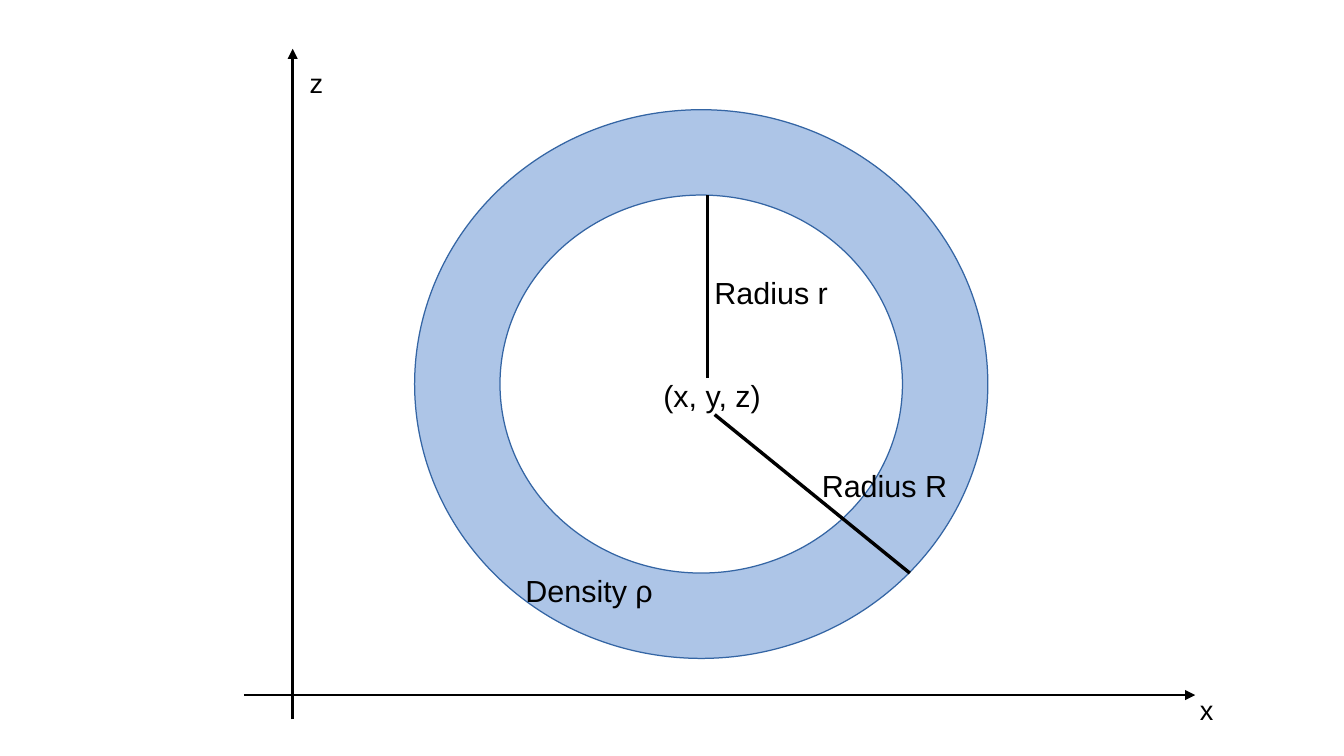
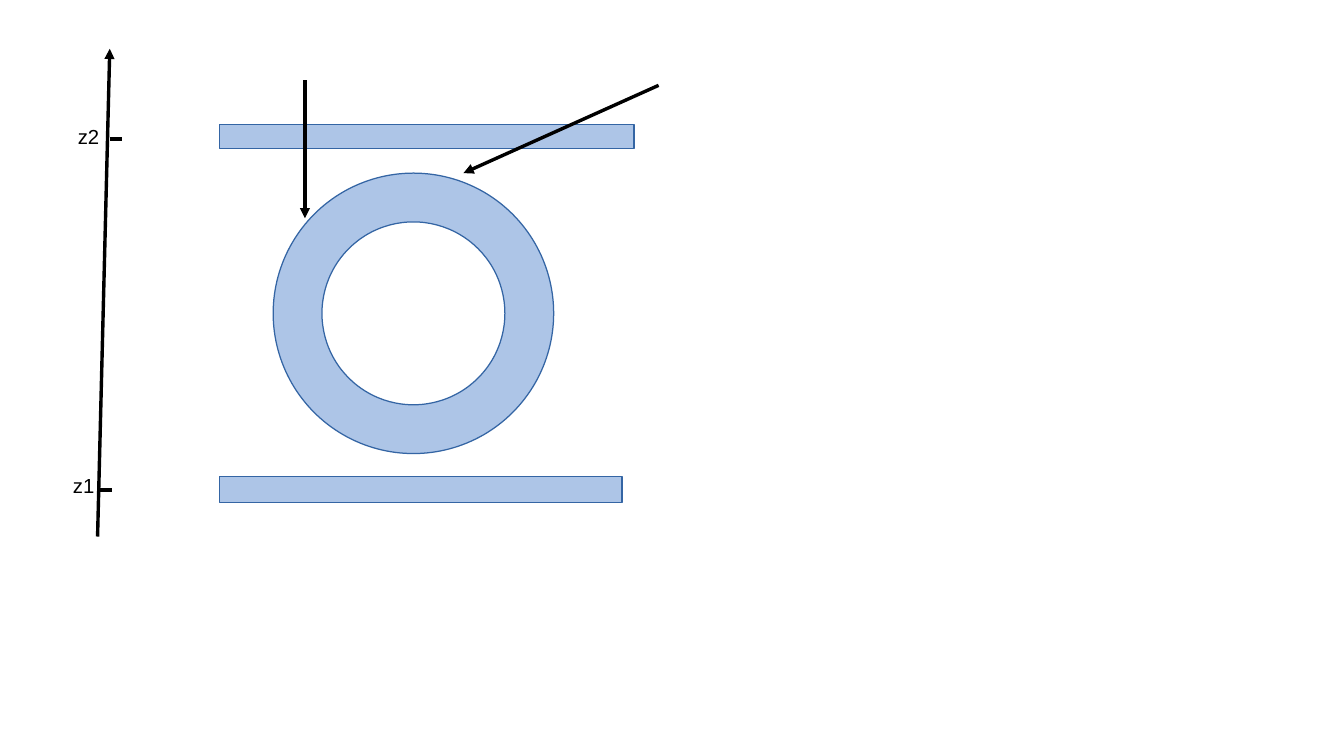
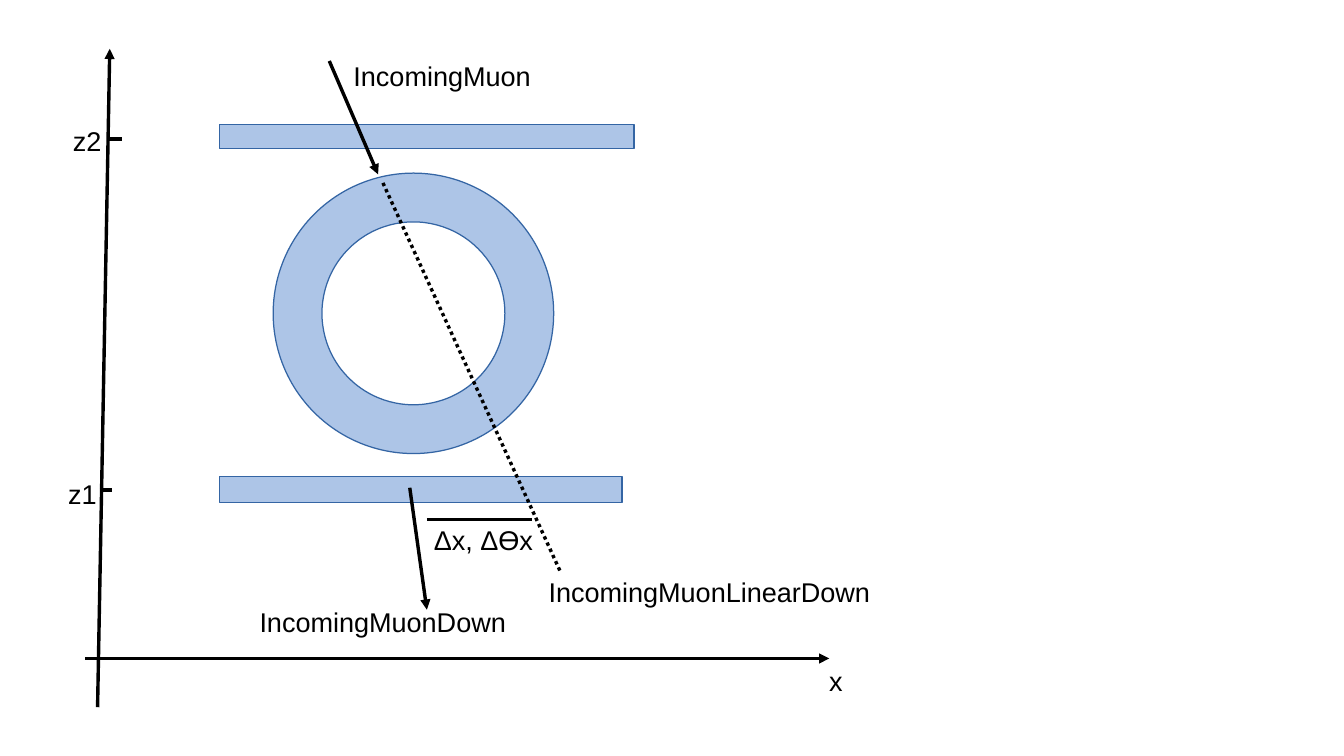
from dataclasses import dataclass
from typing import Any

from lxml import etree
from pptx import Presentation
from pptx.dml.color import RGBColor
from pptx.enum.dml import MSO_LINE
from pptx.enum.shapes import MSO_CONNECTOR, MSO_SHAPE
from pptx.enum.text import MSO_ANCHOR, MSO_AUTO_SIZE
from pptx.oxml.ns import qn
from pptx.util import Inches, Pt

STRAIGHT = MSO_CONNECTOR.STRAIGHT
ELLIPSE = MSO_SHAPE.OVAL
RECTANGLE = MSO_SHAPE.RECTANGLE
DOTTED = MSO_LINE.ROUND_DOT
TOP = MSO_ANCHOR.TOP
GROW = MSO_AUTO_SIZE.SHAPE_TO_FIT_TEXT
BLANK_LAYOUT = 6


@dataclass(frozen=True)
class Theme:
    ink: RGBColor = RGBColor(0x00, 0x00, 0x00)
    material: RGBColor = RGBColor(0xAD, 0xC5, 0xE7)
    outline: RGBColor = RGBColor(0x34, 0x65, 0xA4)
    paper: RGBColor = RGBColor(0xFF, 0xFF, 0xFF)
    font: str = "Arial"
    large: int = 18
    medium: int = 16
    small: int = 12
    hairline: float = 0
    axis: float = 1.5


THEME = Theme()
LABEL_FRAME = {
    "margin_left": Inches(0.1), "margin_right": Inches(0.1),
    "margin_top": Inches(0.05), "margin_bottom": Inches(0.05),
    "word_wrap": True, "auto_size": GROW, "vertical_anchor": TOP,
}


@dataclass(frozen=True)
class Region:
    slide: Any
    left: float
    top: float

    def at(self, x, y):
        return Inches(self.left + x), Inches(self.top + y)


def apply_format(target, values):
    for name, value in values.items():
        setattr(target, name, value)


def add_solid(region, outline, box, fill=THEME.material):
    x, y, width, height = box
    solid = region.slide.shapes.add_shape(
        outline, *region.at(x, y), Inches(width), Inches(height))
    solid.shadow.inherit = False
    solid.fill.solid()
    solid.fill.fore_color.rgb = fill
    solid.line.color.rgb = THEME.outline
    solid.line.width = Pt(THEME.hairline)


def add_line(region, start, end, width=THEME.hairline, arrow=False, dash=None):
    line = region.slide.shapes.add_connector(
        STRAIGHT, *region.at(*start), *region.at(*end))
    line.line.color.rgb = THEME.ink
    apply_format(line.line, {"width": Pt(width), "dash_style": dash})
    properties = line.element.spPr
    if arrow:
        stroke = properties.find(qn("a:ln"))
        etree.SubElement(stroke, qn("a:tailEnd"), type="triangle")
    etree.SubElement(properties, qn("a:effectLst"))


def add_label(region, text, box, size=THEME.medium):
    x, y, width, height = box
    label = region.slide.shapes.add_textbox(
        *region.at(x, y), Inches(width), Inches(height))
    apply_format(label.text_frame, LABEL_FRAME)
    run = label.text_frame.paragraphs[0].add_run()
    run.text = text
    apply_format(run.font, {"name": THEME.font, "size": Pt(size)})
    run.font.color.rgb = THEME.ink


def add_ring(region, width, height, wall):
    add_solid(region, ELLIPSE, (0, 0, width, height))
    inner = (wall, wall, width - 2 * wall, height - 2 * wall)
    add_solid(region, ELLIPSE, inner, THEME.paper)


def add_shell(region):
    add_ring(region, 4.7, 4.5, 0.7)
    add_line(region, (2.4, 2.2), (2.4, 0.7))
    add_line(region, (2.46, 2.5), (4.06, 3.8))
    for text, box in (
        ("(x, y, z)", (1.94, 2.14, 1.18, 0.66)),
        ("Radius r", (2.36, 1.3, 1.24, 0.56)),
        ("Radius R", (3.24, 2.88, 1.34, 0.58)),
        ("Density ρ", (0.81, 3.74, 1.39, 0.66)),
    ):
        add_label(region, text, box, THEME.large)


def add_plane_axes(region):
    for start, end in (((0.4, 5.5), (0.4, 0)), ((0, 5.3), (7.8, 5.3))):
        add_line(region, start, end, THEME.axis, arrow=True)
    add_label(region, "x", (7.74, 5.24, 1.02, 0.5))
    add_label(region, "z", (0.44, 0.1, 1.02, 0.5))


def add_detector(region):
    for plate in ((0, 0, 3.4, 0.2), (0, 2.89, 3.3, 0.21)):
        add_solid(region, RECTANGLE, plate)
    ring = Region(region.slide, region.left + 0.44, region.top + 0.4)
    add_ring(ring, 2.3, 2.3, 0.4)


def add_height_axis(region, length, marks, size):
    add_line(region, (0, length), (0.1, 0), arrow=True)
    for x, y in ((0.1, 0.74), (0.02, 3.62)):
        add_line(region, (x, y), (x + 0.1, y))
    for text, x, y in marks:
        add_label(region, text, (x, y, 0.5, 0.5), size)


def add_muon_tracks(region):
    add_line(region, (0, 0), (0.4, 0.93), arrow=True)
    add_line(region, (0.66, 3.5), (0.8, 4.5), arrow=True)
    add_line(region, (0.44, 1), (1.9, 4.2), dash=DOTTED)
    add_line(region, (0.8, 3.76), (1.66, 3.76))
    for text, box in (
        ("Δx, Δϴx", (0.76, 3.74, 1.1, 0.54)),
        ("IncomingMuon", (0.1, -0.06, 1.9, 1.03)),
        ("IncomingMuonLinearDown", (1.7, 4.17, 2.86, 1.03)),
        ("IncomingMuonDown", (-0.67, 4.42, 2.34, 1)),
    ):
        add_label(region, text, box)


def add_ground_axis(region):
    add_line(region, (0, 0), (6.1, 0), arrow=True)
    add_label(region, "x", (6, 0, 0.5, 0.66))


def build_shell_slide(slide):
    add_shell(Region(slide, 3.4, 0.9))
    add_plane_axes(Region(slide, 2, 0.4))


def build_detector_slide(slide):
    add_detector(Region(slide, 1.8, 1.02))
    marks = (("z2", -0.26, 0.57), ("z1", -0.3, 3.43))
    add_height_axis(Region(slide, 0.8, 0.4), 4, marks, THEME.small)
    incoming = Region(slide, 2.5, 0.66)
    add_line(incoming, (2.9, 0.04), (1.3, 0.76), arrow=True)
    add_line(incoming, (0, 0), (0, 1.13), arrow=True)


def build_scattering_slide(slide):
    add_detector(Region(slide, 1.8, 1.02))
    marks = (("z2", -0.3, 0.57), ("z1", -0.34, 3.47))
    add_height_axis(Region(slide, 0.8, 0.4), 5.4, marks, THEME.medium)
    add_muon_tracks(Region(slide, 2.7, 0.5))
    add_ground_axis(Region(slide, 0.7, 5.4))


def main():
    deck = Presentation()
    apply_format(deck, {"slide_width": Inches(11.02), "slide_height": Inches(6.2)})
    for build in (build_shell_slide, build_detector_slide, build_scattering_slide):
        build(deck.slides.add_slide(deck.slide_layouts[BLANK_LAYOUT]))
    deck.save("out.pptx")


if __name__ == "__main__":
    main()
